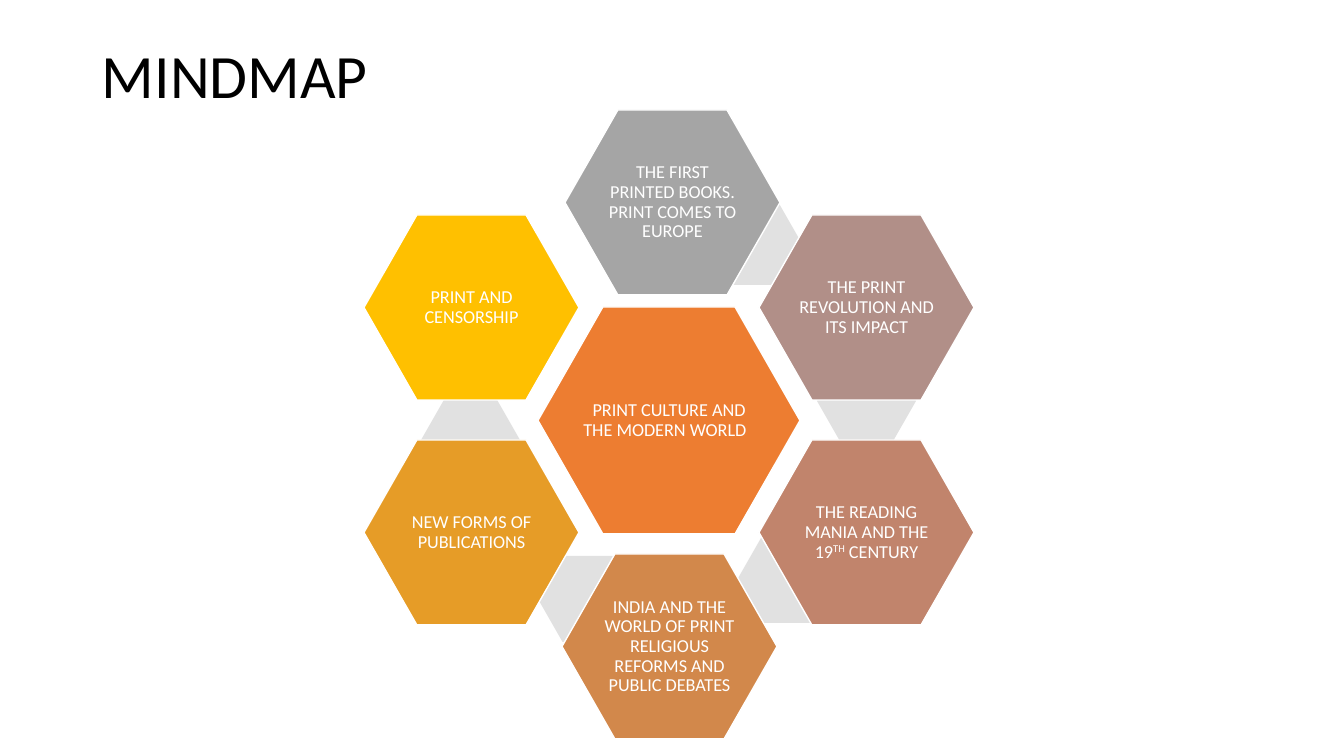
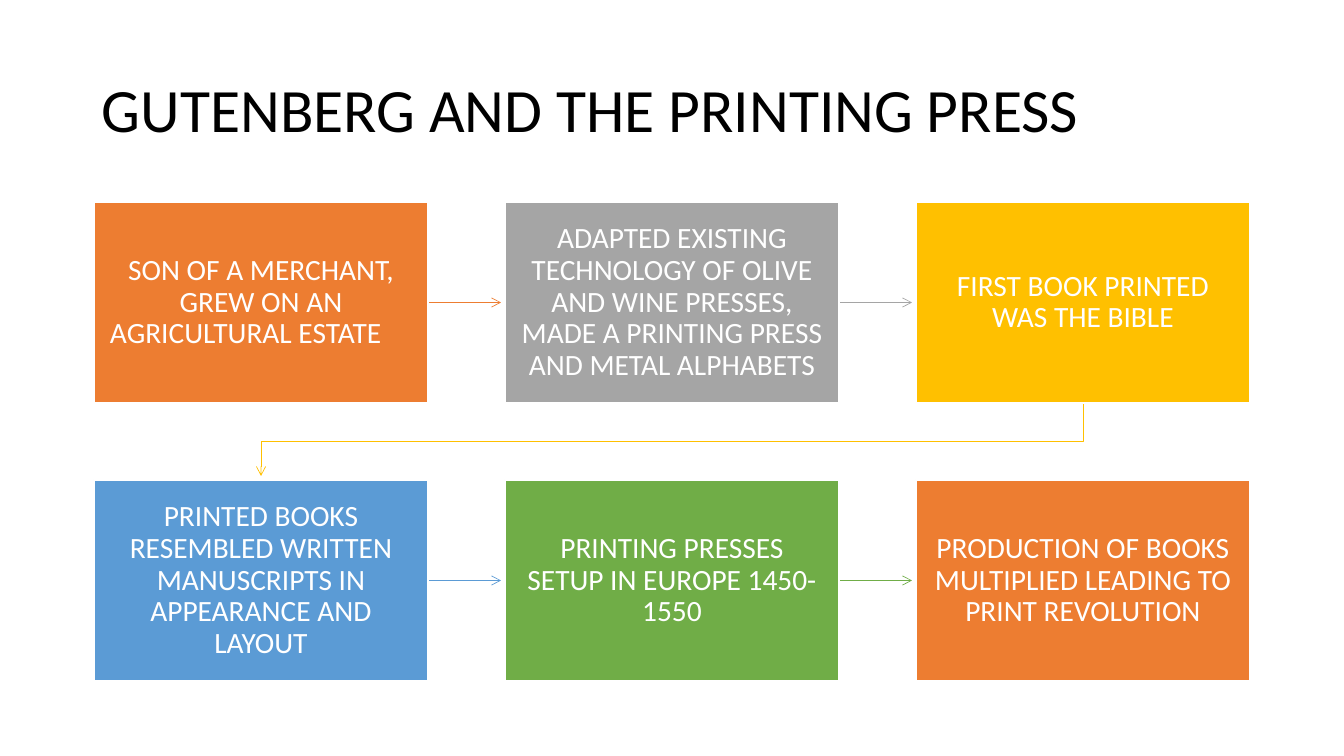
from dataclasses import dataclass

from lxml import etree
from pptx import Presentation
from pptx.dml.color import RGBColor
from pptx.enum.shapes import MSO_CONNECTOR, MSO_SHAPE
from pptx.enum.text import MSO_ANCHOR, PP_ALIGN
from pptx.oxml.ns import qn
from pptx.util import Emu, Pt

HEXAGON, RECTANGLE = MSO_SHAPE.HEXAGON, MSO_SHAPE.RECTANGLE
STRAIGHT = MSO_CONNECTOR.STRAIGHT
LEFT, CENTER = PP_ALIGN.LEFT, PP_ALIGN.CENTER
MIDDLE = MSO_ANCHOR.MIDDLE
EMU_PER_PIXEL = 914400 / 100.8


@dataclass(frozen=True)
class Theme:
    font: str = "Calibri"
    black: str = "000000"
    white: str = "FFFFFF"
    pale: str = "E1E1E1"
    orange: str = "ED7D31"
    gray: str = "A5A5A5"
    gold: str = "FFC000"
    blue: str = "5B9BD5"
    green: str = "70AD47"
    mauve: str = "B18F88"
    clay: str = "C1846C"
    copper: str = "D2884B"
    amber: str = "E69C27"
    title_size: int = 44
    topic_size: int = 13
    step_size: int = 21
    border: float = 1
    arrow: float = 0.5


THEME = Theme()

MINDMAP_TITLE = ("MINDMAP", 40, 78)
CENTER_TOPIC = ("PRINT CULTURE AND THE MODERN WORLD\t", THEME.orange, 538, 307)
CENTER_SIZE = (262, 227)
TOPIC_SIZE = (215, 185)
TOPICS = [
    ("THE FIRST PRINTED BOOKS. PRINT COMES TO EUROPE", THEME.gray, 565, 110),
    ("THE PRINT REVOLUTION AND ITS IMPACT", THEME.mauve, 759, 215),
    ("THE READING MANIA AND THE 19^TH^ CENTURY", THEME.clay, 759, 440),
    ("INDIA AND THE WORLD OF PRINT RELIGIOUS REFORMS AND PUBLIC DEBATES", THEME.copper, 562, 554),
    ("NEW FORMS OF PUBLICATIONS", THEME.amber, 364, 440),
    ("PRINT AND CENSORSHIP", THEME.gold, 364, 215),
]
LINK_SIZE = (99, 86)
LINKS = [(702, 199), (817, 358), (737, 537), (538, 556), (421, 397)]

PRESS_TITLE = ("GUTENBERG AND THE PRINTING PRESS", 40, 146)
STEPS = [
    ("SON OF A MERCHANT, GREW ON AN AGRICULTURAL ESTATE\t", THEME.orange),
    ("ADAPTED EXISTING TECHNOLOGY OF OLIVE AND WINE PRESSES, MADE A PRINTING PRESS "
     "AND METAL ALPHABETS", THEME.gray),
    ("FIRST BOOK PRINTED WAS THE BIBLE", THEME.gold),
    ("PRINTED BOOKS RESEMBLED WRITTEN MANUSCRIPTS IN APPEARANCE AND LAYOUT", THEME.blue),
    ("PRINTING PRESSES SETUP IN EUROPE 1450-1550", THEME.green),
    ("PRODUCTION OF BOOKS MULTIPLIED LEADING TO PRINT REVOLUTION", THEME.orange),
]
COLUMNS = 3
STEP_LEFT, STEP_TOP = 94, 202
STEP_WIDTH, STEP_HEIGHT = 334, 201
COLUMN_PITCH, ROW_PITCH = 411, 278
ARROW_GAP = 4


def px(value):
    return Emu(round(value * EMU_PER_PIXEL))


def color(value):
    return RGBColor.from_string(value)


def write_text(shape, text, *, size, ink=THEME.white, align=CENTER, inset=(10, 5)):
    frame = shape.text_frame
    frame.word_wrap = True
    frame.vertical_anchor = MIDDLE
    frame.margin_left = frame.margin_right = px(inset[0])
    frame.margin_top = frame.margin_bottom = px(inset[1])
    paragraph = frame.paragraphs[0]
    paragraph.alignment = align
    paragraph.line_spacing = 0.9
    for index, part in enumerate(text.split("^")):
        run = paragraph.add_run()
        run.text = part
        run.font.name = THEME.font
        run.font.size = Pt(size)
        run.font.color.rgb = color(ink)
        if index % 2:
            run.font._element.set("baseline", "30000")


def add_title(slide, text, top, height):
    box = slide.shapes.add_textbox(px(92), px(top), px(1159), px(height))
    write_text(box, text, size=THEME.title_size, ink=THEME.black, align=LEFT)


def add_block(slide, kind, left, top, size, fill, border=THEME.white):
    shape = slide.shapes.add_shape(kind, px(left), px(top), px(size[0]), px(size[1]))
    shape.shadow.inherit = False
    shape.fill.solid()
    shape.fill.fore_color.rgb = color(fill)
    if border:
        shape.line.color.rgb = color(border)
        shape.line.width = Pt(THEME.border)
    else:
        shape.line.fill.background()
    if kind == HEXAGON:
        shape.adjustments[0] = 0.286
    return shape


def add_arrow(slide, points, ink):
    points = [(px(x), px(y)) for x, y in points]
    if len(points) == 2:
        arrow = slide.shapes.add_connector(STRAIGHT, *points[0], *points[1])
        etree.SubElement(arrow._element.spPr, qn("a:effectLst"))
    else:
        builder = slide.shapes.build_freeform(*points[0])
        builder.add_line_segments(points[1:], close=False)
        arrow = builder.convert_to_shape()
        arrow.shadow.inherit = False
        arrow.fill.background()
    arrow.line.color.rgb = color(ink)
    arrow.line.width = Pt(THEME.arrow)
    etree.SubElement(arrow.line._get_or_add_ln(), qn("a:tailEnd"), type="arrow")


def add_topic(slide, topic, size):
    text, fill, left, top = topic
    shape = add_block(slide, HEXAGON, left, top, size, fill)
    write_text(shape, text, size=THEME.topic_size, inset=(2, 2))


def build_mindmap(slide):
    add_title(slide, *MINDMAP_TITLE)
    add_topic(slide, CENTER_TOPIC, CENTER_SIZE)
    for left, top in LINKS:
        add_block(slide, HEXAGON, left, top, LINK_SIZE, THEME.pale, border=None)
    for topic in TOPICS:
        add_topic(slide, topic, TOPIC_SIZE)


def step_corner(index):
    row, column = divmod(index, COLUMNS)
    return STEP_LEFT + column * COLUMN_PITCH, STEP_TOP + row * ROW_PITCH


def arrow_points(index):
    left, top = step_corner(index)
    next_left, next_top = step_corner(index + 1)
    if top == next_top:
        middle = top + STEP_HEIGHT / 2
        return [(left + STEP_WIDTH, middle), (next_left - ARROW_GAP, middle)]
    start, end = left + STEP_WIDTH / 2, next_left + STEP_WIDTH / 2
    bottom = top + STEP_HEIGHT
    bend = (bottom + next_top) / 2
    return [(start, bottom), (start, bend), (end, bend), (end, next_top - ARROW_GAP)]


def build_press(slide):
    add_title(slide, *PRESS_TITLE)
    for index, (text, fill) in enumerate(STEPS):
        if index + 1 < len(STEPS):
            add_arrow(slide, arrow_points(index), fill)
        size = (STEP_WIDTH, STEP_HEIGHT)
        shape = add_block(slide, RECTANGLE, *step_corner(index), size, fill)
        write_text(shape, text, size=THEME.step_size, inset=(16, 16))


presentation = Presentation()
presentation.slide_width, presentation.slide_height = px(1344), px(756)
for build in (build_mindmap, build_press):
    build(presentation.slides.add_slide(presentation.slide_layouts[6]))
presentation.save("out.pptx")
